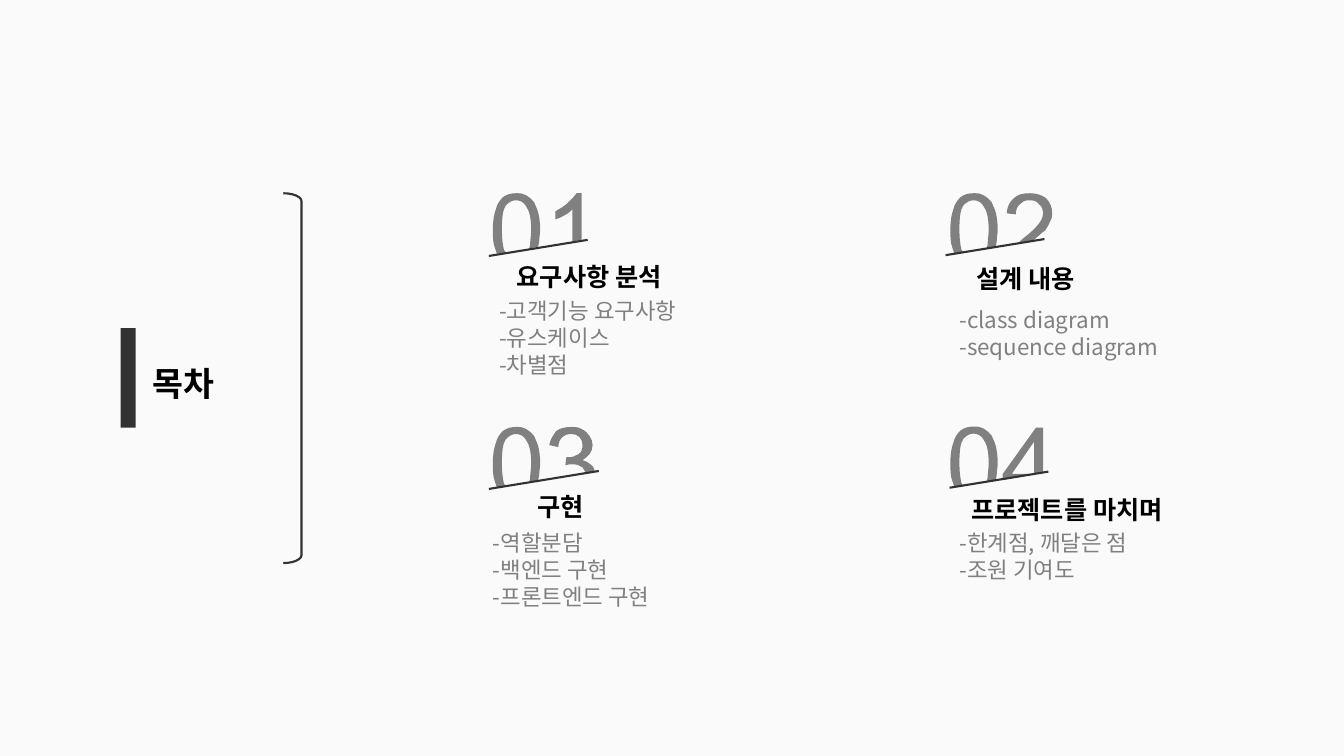
from lxml import etree
from pptx import Presentation
from pptx.dml.color import RGBColor
from pptx.enum.shapes import MSO_CONNECTOR, MSO_SHAPE
from pptx.enum.text import MSO_ANCHOR, MSO_AUTO_SIZE, PP_ALIGN
from pptx.oxml.ns import qn
from pptx.util import Cm, Pt

RECT, BRACKET = MSO_SHAPE.RECTANGLE, MSO_SHAPE.RIGHT_BRACKET
STRAIGHT = MSO_CONNECTOR.STRAIGHT
LEFT, CENTER = PP_ALIGN.LEFT, PP_ALIGN.CENTER
TOP, NO_FIT = MSO_ANCHOR.TOP, MSO_AUTO_SIZE.NONE
FONT = "Noto Sans CJK KR"
DARK, GRAY, BLACK, PAPER = "323232", "808080", "000000", "FAFAFA"
UNIT = Cm(0.0254)  # one step of the digit outlines
SLASH_SLOPE = 0.163

# Digit outlines cut by the slash: a pair is a line, three pairs a Bézier curve
ZERO = ("23 0, 27 0 30 0 33 2, 36 4 39 6 41 9, 42 12 44 15 45 19, 46 23 47 29 47 36,"
        "47 40 46 44 46 48, 45 53, 36 55, 37 51, 37 47 38 42 38 36, 38 24 36 17 33 13,"
        "31 9 27 7 23 7, 19 7 16 9 13 12, 10 16 9 24 9 36, 9 45 10 52 11 56, 13 59,"
        "4 60, 2 54, 0 49 0 43 0 36, 0 28 1 21 3 16, 4 11 7 7 10 4, 14 1 18 0 23 0")
ONE = ("83 0, 88 0, 88 46, 79 48, 79 16, 77 18 75 20 71 22, 68 24 65 25 62 26, 62 18,"
       "67 15 71 13 75 9, 78 6 81 3 83 0")
TWO = ("79 0, 86 0 91 2 95 5, 99 9 101 14 101 20, 101 22 101 25 99 28, 98 31 96 34 94 37,"
       "92 38 90 40 88 42, 82 47, 67 50, 72 45, 80 39 85 34 88 30, 91 26 92 23 92 19,"
       "92 16 91 13 88 11, 86 8 83 7 79 7, 74 7 71 8 69 11, 66 13 65 17 65 21, 56 20,"
       "56 14 59 8 63 5, 67 1 72 0 79 0")
THREE = ("78 0, 81 0 85 0 88 2, 92 4 94 6 96 9, 98 12 99 15 99 18, 99 21 98 24 96 27,"
         "94 29 92 31 89 33, 93 34 96 36 99 39, 100 40 101 42 101 44, 92 46, 92 45,"
         "91 43 90 42 89 40, 86 38 83 37 79 37, 77 37 75 37 72 38, 73 30, 74 30 75 30 75 30,"
         "79 30 82 29 85 27, 88 25 89 22 89 18, 89 15 88 12 86 10, 84 8 81 7 78 7,"
         "74 7 71 8 69 10, 67 12 65 15 65 20, 56 18, 57 12 60 8 63 4, 67 1 72 0 78 0")
FOUR, FOUR_HOLE = "85 1, 92 1, 92 46, 52 53, 52 47", "83 15, 61 47, 83 47"

# digit origin, outlines, slash (x, y, width), heading (x, y, width, align, level),
# body (x, y, width, height), heading text, body lines
SECTIONS = [
    ((12.42, 4.87), [ZERO, ONE], (12.32, 6.45, 2.49), (12.32, 6.45, 5.05, CENTER, 0),
     (12.33, 7.36, 6.63, 2.31), "요구사항 분석", ["-고객기능 요구사항", "-유스케이스", "-차별점"]),
    ((23.95, 4.87), [ZERO, TWO], (23.83, 6.43, 2.49), (23.09, 6.5, 4.83, LEFT, 1),
     (23.93, 7.6, 6.63, 2.31), "설계 내용", ["-class diagram", "-sequence diagram"]),
    ((12.42, 10.76), [ZERO, THREE], (12.32, 12.32, 2.77), (12.04, 12.26, 4.19, CENTER, 0),
     (12.17, 13.22, 6.3, 2.31), "구현", ["-역할분담", "-백엔드 구현", "-프론트엔드 구현"]),
    ((23.95, 10.75), [ZERO, FOUR, FOUR_HOLE], (23.93, 12.29, 2.49),
     (23.93, 12.32, 5.92, CENTER, 0), (23.93, 13.22, 6.88, 1.63),
     "프로젝트를 마치며", ["-한계점, 깨달은 점", "-조원 기여도"]),
]


def write(box, lines, size, color, bold=False, align=LEFT, level=0):
    tf = box.text_frame
    tf.word_wrap, tf.auto_size, tf.vertical_anchor = True, NO_FIT, TOP
    for i, line in enumerate(lines):
        p = tf.paragraphs[0] if i == 0 else tf.add_paragraph()
        p.alignment, p.level = align, level
        r = p.add_run()
        r.text = line
        r.font.size, r.font.bold, r.font.name = Pt(size), bold, FONT
        r.font.color.rgb = RGBColor.from_string(color)
        etree.SubElement(r.font._element, qn("a:ea"), typeface=FONT)


def paint(shape, color):
    shape.shadow.inherit = False
    shape.fill.solid()
    shape.fill.fore_color.rgb = RGBColor.from_string(color)
    shape.line.fill.background()


prs = Presentation()
prs.slide_width, prs.slide_height = Cm(33.87), Cm(19.05)
s = prs.slides.add_slide(prs.slide_layouts[5])

paper = s.shapes.add_shape(RECT, 0, 0, prs.slide_width, prs.slide_height)
paint(paper, PAPER)

title = s.shapes.title
paper._element.addnext(title._element)  # bring the title in front of the paper
title.left, title.top, title.width, title.height = Cm(3.58), Cm(9.02), Cm(2.21), Cm(1.27)
write(title, ["목차"], 24, BLACK, bold=True)

bar = s.shapes.add_shape(RECT, Cm(3.04), Cm(8.27), Cm(0.38), Cm(2.51))
paint(bar, DARK)

bracket = s.shapes.add_shape(BRACKET, Cm(7.14), Cm(4.87), Cm(0.46), Cm(9.32))
bracket.shadow.inherit = False
bracket.adjustments[0] = 0.436
bracket.fill.background()
bracket.line.color.rgb = RGBColor.from_string(DARK)
bracket.line.width = Pt(1.5)

for origin, outlines, slash, heading, body, name, lines in SECTIONS:
    contours = [[[int(v) for v in part.split()] for part in outline.split(",")]
                for outline in outlines]
    fb = s.shapes.build_freeform(*contours[0][0], scale=UNIT)
    for i, (start, *parts) in enumerate(contours):
        if i:
            fb.move_to(*start)
        points = [pair for part in parts for pair in zip(part[::2], part[1::2])]
        fb.add_line_segments(points, close=True)
    digits = fb.convert_to_shape(Cm(origin[0]), Cm(origin[1]))
    paint(digits, GRAY)

    # Join the three line segments of each curve into one Bézier segment
    segments = iter(list(digits._element.iter(qn("a:lnTo"))))
    for part in (part for contour in contours for part in contour[1:]):
        segment = next(segments)
        if len(part) == 6:
            segment.tag = qn("a:cubicBezTo")
            for _ in range(2):
                extra = next(segments)
                segment.append(extra[0])
                extra.getparent().remove(extra)

    x, y, w = slash
    cut = s.shapes.add_connector(STRAIGHT, Cm(x), Cm(y), Cm(x + w), Cm(y - w * SLASH_SLOPE))
    cut.line.color.rgb = RGBColor.from_string(DARK)
    cut.line.width = Pt(1.5)
    etree.SubElement(cut._element.spPr, qn("a:effectLst"))

    x, y, w, align, level = heading
    box = s.shapes.add_textbox(Cm(x), Cm(y), Cm(w), Cm(1.02))
    write(box, [name], 18, BLACK, bold=True, align=align, level=level)
    write(s.shapes.add_textbox(*map(Cm, body)), lines, 16, GRAY)

prs.save("out.pptx")
